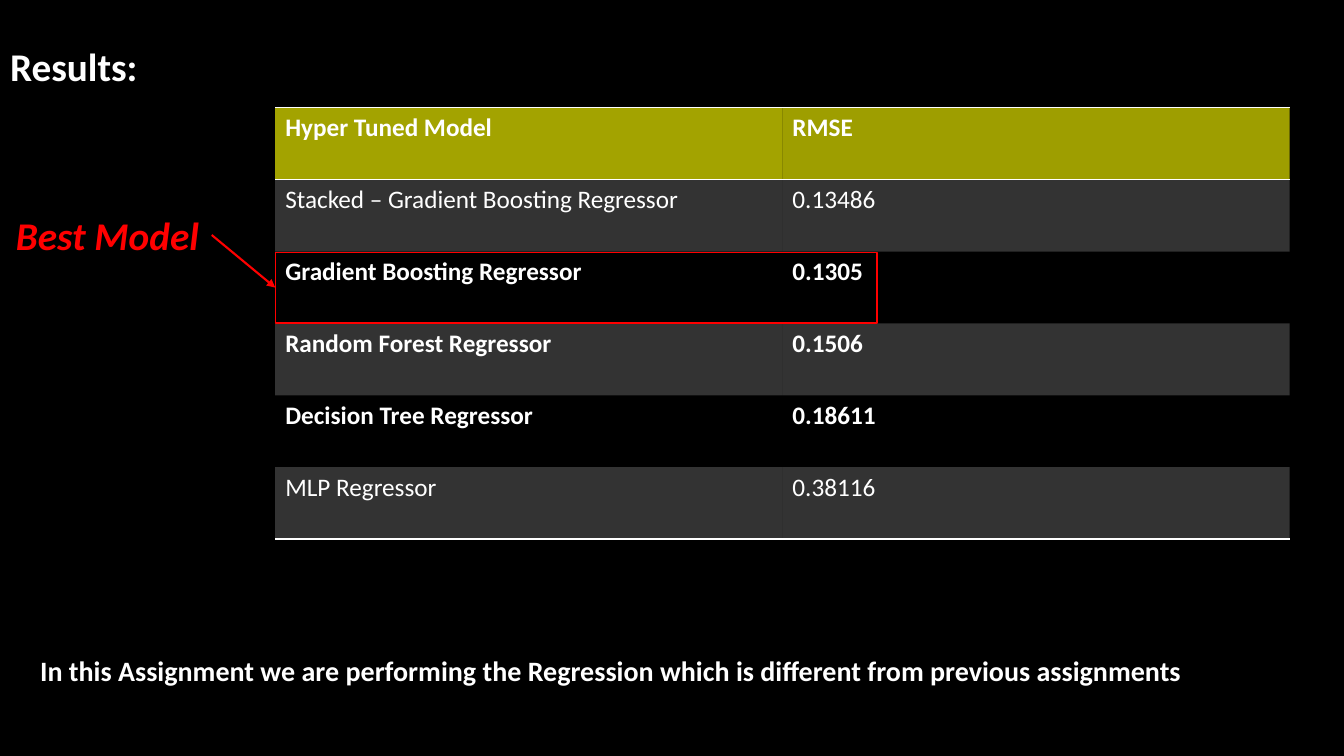
"""Build a slide of regression results with the best model marked."""
from dataclasses import dataclass

from lxml import etree
from pptx import Presentation
from pptx import util as u
from pptx.dml import color
from pptx.enum import shapes, text
from pptx.oxml import ns


@dataclass(frozen=True)
class Theme:
    """Colours, font and type sizes of the slide."""
    font: str = "Calibri"
    background: str = "000000"
    ink: str = "FFFFFF"
    header: str = "FFFF00"
    accent: str = "FF0000"
    heading_size: int = 28
    note_size: int = 20
    cell_size: int = 18
    header_alphas: tuple = (64, 62)
    band_alpha: int = 20
    plain_table: str = "{2D5ABB26-0587-4C30-8999-92F81FD0307C}"


THEME = Theme()
HEADERS = ("Hyper Tuned Model", "RMSE")
RESULTS = (
    ("Stacked – Gradient Boosting Regressor", "0.13486", False),
    ("Gradient Boosting Regressor", "0.1305", True),
    ("Random Forest Regressor", "0.1506", True),
    ("Decision Tree Regressor", "0.18611", True),
    ("MLP Regressor", "0.38116", False),
)
BEST_ROW = 2


def rgb(value):
    """Turn a hex string into a colour."""
    return color.RGBColor.from_string(value)


def place(shape, box):
    """Move a shape to a box given in inches."""
    shape.left, shape.top, shape.width, shape.height = map(u.Inches, box)


def add_run(paragraph, words, size, ink=THEME.ink, bold=True, italic=False):
    """Add one formatted run to a paragraph."""
    run = paragraph.add_run()
    run.text = words
    run.font.name = THEME.font
    run.font.size = u.Pt(size)
    run.font.bold = bold
    run.font.italic = italic
    run.font.color.rgb = rgb(ink)


def write_line(shape, box, words, size, **style):
    """Place a text shape and write one unwrapped line in it."""
    place(shape, box)
    frame = shape.text_frame
    frame.word_wrap = False
    frame.auto_size = text.MSO_AUTO_SIZE.SHAPE_TO_FIT_TEXT
    frame.vertical_anchor = text.MSO_ANCHOR.TOP
    paragraph = frame.paragraphs[0]
    paragraph.alignment = text.PP_ALIGN.LEFT
    add_run(paragraph, words, size, **style)


def add_line(slide, box, words, size, **style):
    """Add a text box holding one line."""
    shape = slide.shapes.add_textbox(*map(u.Inches, box))
    write_line(shape, box, words, size, **style)


def fill_cell(cell, fill, alpha):
    """Fill a cell with a translucent colour."""
    cell.fill.solid()
    cell.fill.fore_color.rgb = rgb(fill)
    clr = cell.fill._xPr.find(".//" + ns.qn("a:srgbClr"))
    etree.SubElement(clr, ns.qn("a:alpha"), val=str(alpha * 1000))


def rule_cell(cell, *sides):
    """Draw one-point rules on the given sides, top before bottom."""
    properties = cell._tc.get_or_add_tcPr()
    for index, side in enumerate(sides):
        line = etree.Element(ns.qn(f"a:{side}"), w=str(u.Pt(1)))
        solid = etree.SubElement(line, ns.qn("a:solidFill"))
        etree.SubElement(solid, ns.qn("a:srgbClr"), val=THEME.ink)
        properties.insert(index, line)


def add_results_table(slide, box):
    """Add the table of models and errors, banded on odd rows."""
    rows = [(*HEADERS, True), *RESULTS]
    frame = slide.shapes.add_table(len(rows), len(HEADERS), *map(u.Inches, box))
    table = frame.table
    table._tbl.tblPr.find(ns.qn("a:tableStyleId")).text = THEME.plain_table
    for row, (*values, bold) in enumerate(rows):
        for column, words in enumerate(values):
            cell = table.cell(row, column)
            add_run(cell.text_frame.paragraphs[0], words, THEME.cell_size, bold=bold)
            if row == 0:
                fill_cell(cell, THEME.header, THEME.header_alphas[column])
                rule_cell(cell, "lnT", "lnB")
            elif row % 2:
                fill_cell(cell, THEME.ink, THEME.band_alpha)
            else:
                cell.fill.background()
            if row == len(rows) - 1:
                rule_cell(cell, "lnB")


def add_best_model(slide, table_box):
    """Frame the best row and point to it from a label on its left."""
    left, top, _, height = table_box
    row_height = height / (len(RESULTS) + 1)
    row_top = top + BEST_ROW * row_height
    frame_box = (left, row_top + 0.01, 5.97, 0.7)
    frame = slide.shapes.add_shape(
        shapes.MSO_SHAPE.RECTANGLE, *map(u.Inches, frame_box))
    frame.shadow.inherit = False
    frame.fill.background()
    frame.line.color.rgb = rgb(THEME.accent)
    frame.line.width = u.Pt(1)

    label_box = (0.06, row_top - 0.45, 2.04, 0.57)
    add_line(slide, label_box, "Best Model", THEME.heading_size,
             ink=THEME.accent, italic=True)

    ends = (label_box[0] + label_box[2], label_box[1] + label_box[3] / 2,
            left, row_top + row_height / 2)
    arrow = slide.shapes.add_connector(
        shapes.MSO_CONNECTOR.STRAIGHT, *map(u.Inches, ends))
    arrow.line.color.rgb = rgb(THEME.accent)
    arrow.line.width = u.Pt(1.5)
    etree.SubElement(arrow.line._get_or_add_ln(), ns.qn("a:tailEnd"), type="triangle")
    etree.SubElement(arrow._element.spPr, ns.qn("a:effectLst"))


def build_results_slide(presentation):
    """Add the results slide."""
    slide = presentation.slides.add_slide(presentation.slide_layouts[5])
    slide.background.fill.solid()
    slide.background.fill.fore_color.rgb = rgb(THEME.background)
    table_box = (2.73, 1.07, 10.06, 4.28)
    write_line(slide.shapes.title, (0, 0.37, 1.48, 0.57), "Results:",
               THEME.heading_size)
    add_results_table(slide, table_box)
    add_best_model(slide, table_box)
    add_line(slide, (0.3, 6.43, 11.63, 0.44),
             "In this Assignment we are performing the Regression "
             "which is different from previous assignments", THEME.note_size)


def main():
    """Create and save the presentation."""
    presentation = Presentation()
    presentation.slide_width = u.Inches(13.33)
    presentation.slide_height = u.Inches(7.5)
    build_results_slide(presentation)
    presentation.save("out.pptx")


if __name__ == "__main__":
    main()
